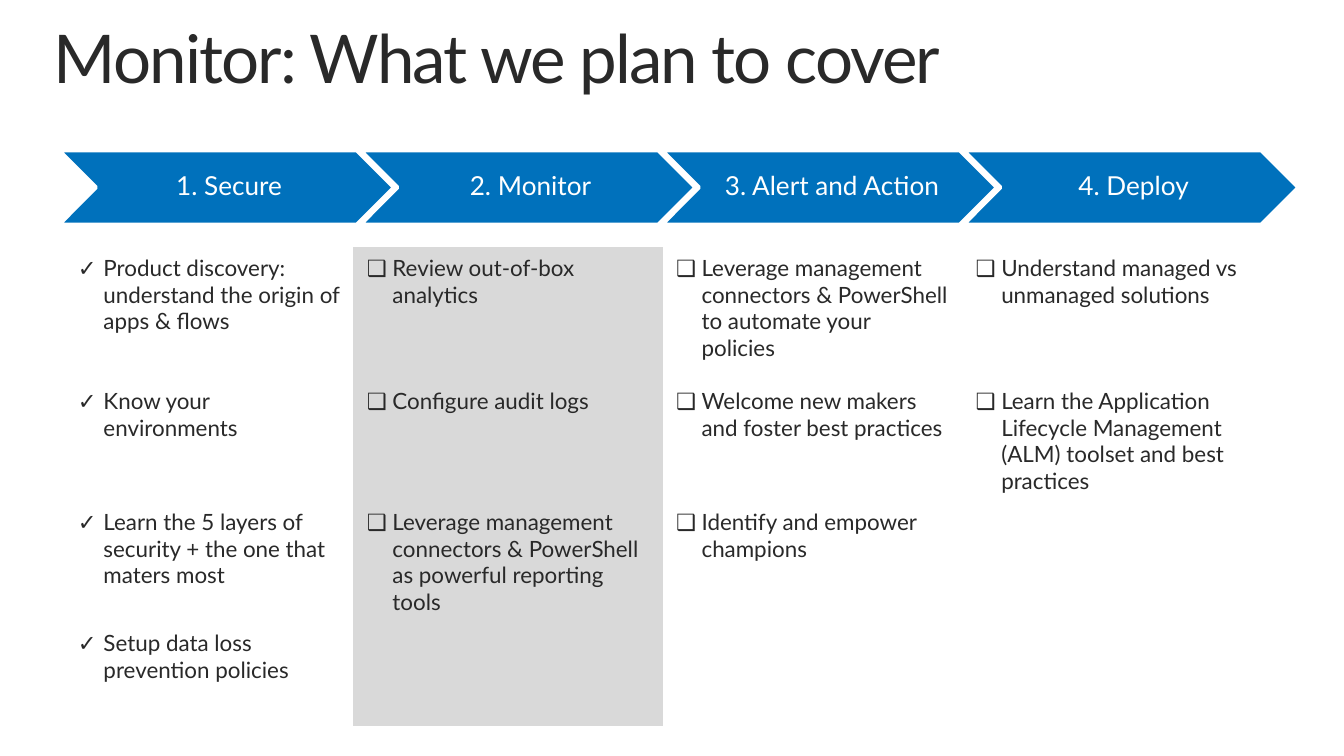
from pptx import Presentation
from pptx.dml.color import RGBColor
from pptx.enum.shapes import MSO_SHAPE as SHAPE
from pptx.enum.text import MSO_ANCHOR as ANCHOR, MSO_AUTO_SIZE as AUTO, PP_ALIGN as ALIGN
from pptx.oxml.ns import qn
from pptx.util import Inches, Pt
from lxml.etree import SubElement

BLUE, DARK, GREY, WHITE = "0071BC", "292929", "D9D9D9", "FFFFFF"
CHECK, BOX = "✓", "❑"
NO_GRID = "{2D5ABB26-0587-4C30-8999-92F81FD0307C}"


def rgb(color):
    return RGBColor.from_string(color)


def add_run(p, text, size, color):
    r = p.add_run()
    r.text = text
    r.font.name, r.font.size = "Lato", Pt(size)
    r.font.color.rgb = rgb(color)
    return r


# Widescreen slide, 16:9
prs = Presentation()
prs.slide_width, prs.slide_height = Inches(10), Inches(10 * 9 / 16)
s = prs.slides.add_slide(prs.slide_layouts[5])

# Title
title = s.shapes.title
title.left, title.top, title.width, title.height = map(Inches, (0.4, 0.19, 9.27, 0.55))
tf = title.text_frame
tf.margin_left = tf.margin_right = tf.margin_top = tf.margin_bottom = 0
tf.word_wrap, tf.auto_size, tf.vertical_anchor = True, AUTO.NONE, ANCHOR.TOP
p = tf.paragraphs[0]
p.alignment, p.line_spacing = ALIGN.LEFT, 0.9
r = add_run(p, "Monitor: What we plan to cover", 36, DARK)
r.font._element.set("spc", "-100")

# Chevrons with their labels, spread evenly from left to right
steps = ["Secure", "Monitor", "Alert and Action", "Deploy"]
left, right, top, width, height = 0.44, 9.66, 1.12, 2.49, 0.55
pitch = (right - left - width) / (len(steps) - 1)
inset = height / 2
for i, label in enumerate(steps):
    x = left + i * pitch
    sp = s.shapes.add_shape(SHAPE.CHEVRON, Inches(x), Inches(top), Inches(width), Inches(height))
    sp.shadow.inherit = False
    sp.fill.solid()
    sp.fill.fore_color.rgb = rgb(BLUE)
    sp.line.color.rgb = rgb(WHITE)
    sp.line.width = Pt(2)

    tb = s.shapes.add_textbox(Inches(x + inset), Inches(top), Inches(width - 2 * inset), Inches(height))
    tf = tb.text_frame
    tf.word_wrap, tf.vertical_anchor = True, ANCHOR.MIDDLE
    tf.margin_left = Inches(0.06)
    tf.margin_right = tf.margin_top = tf.margin_bottom = Inches(0.02)
    p = tf.paragraphs[0]
    p.alignment, p.line_spacing = ALIGN.CENTER, 0.9
    add_run(p, f"{i + 1}. {label}", 14, WHITE)

# Checklist table, one column per step
columns = [
    (2.15, CHECK, None, ["Product discovery: understand the origin of apps & flows",
                         "Know your environments",
                         "Learn the 5 layers of security + the one that maters most",
                         "Setup data loss prevention policies"]),
    (2.3, BOX, GREY, ["Review out-of-box analytics",
                      "Configure audit logs",
                      "Leverage management connectors & PowerShell as powerful reporting tools"]),
    (2.23, BOX, None, ["Leverage management connectors & PowerShell to automate your policies",
                       "Welcome new makers and foster best practices",
                       "Identify and empower champions"]),
    (2.44, BOX, None, ["Understand managed vs unmanaged solutions",
                       "Learn the Application Lifecycle Management (ALM) toolset and best practices"]),
]
rows = [0.99, 0.81, 0.9, 0.77]
frame = s.shapes.add_table(len(rows), len(columns), Inches(0.48), Inches(1.84),
                           Inches(9.12), Inches(sum(rows)))
table = frame.table
table.first_row = table.horz_banding = False
table._tbl.tblPr.find(qn("a:tableStyleId")).text = NO_GRID
for row, row_height in zip(table.rows, rows):
    row.height = Inches(row_height)

for c, (col_width, bullet, fill, items) in enumerate(columns):
    table.columns[c].width = Inches(col_width)
    for n in range(len(rows)):
        cell = table.cell(n, c)
        if fill:
            cell.fill.solid()
            cell.fill.fore_color.rgb = rgb(fill)
        else:
            cell.fill.background()
        if n < len(items):
            p = cell.text_frame.paragraphs[0]
            pPr = p._p.get_or_add_pPr()
            pPr.set("marL", str(Inches(0.19)))
            pPr.set("indent", str(-Inches(0.19)))
            SubElement(pPr, qn("a:buFont")).set("typeface", "Lato")
            SubElement(pPr, qn("a:buChar")).set("char", bullet)
            add_run(p, items[n], 12, DARK)

prs.save("out.pptx")
